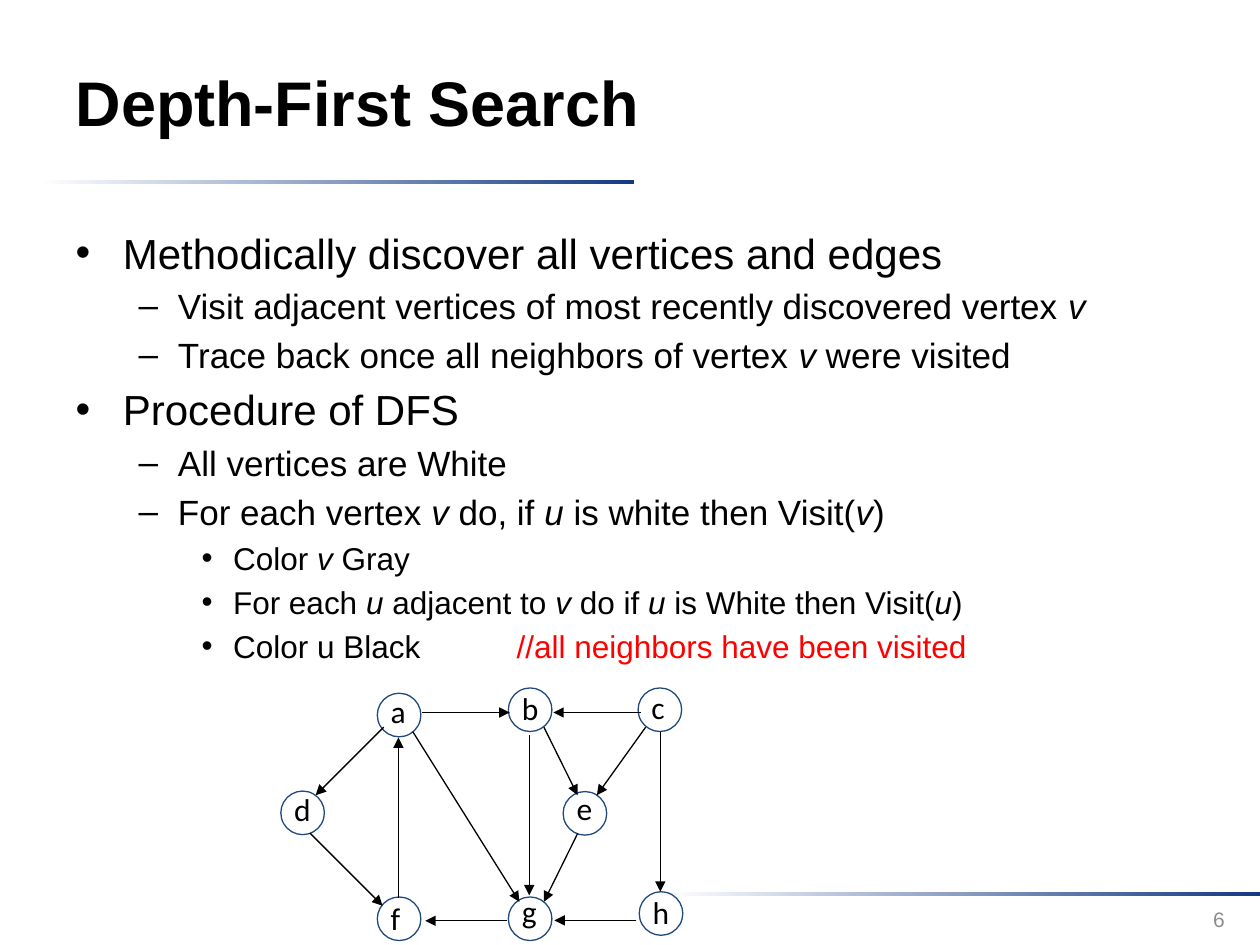
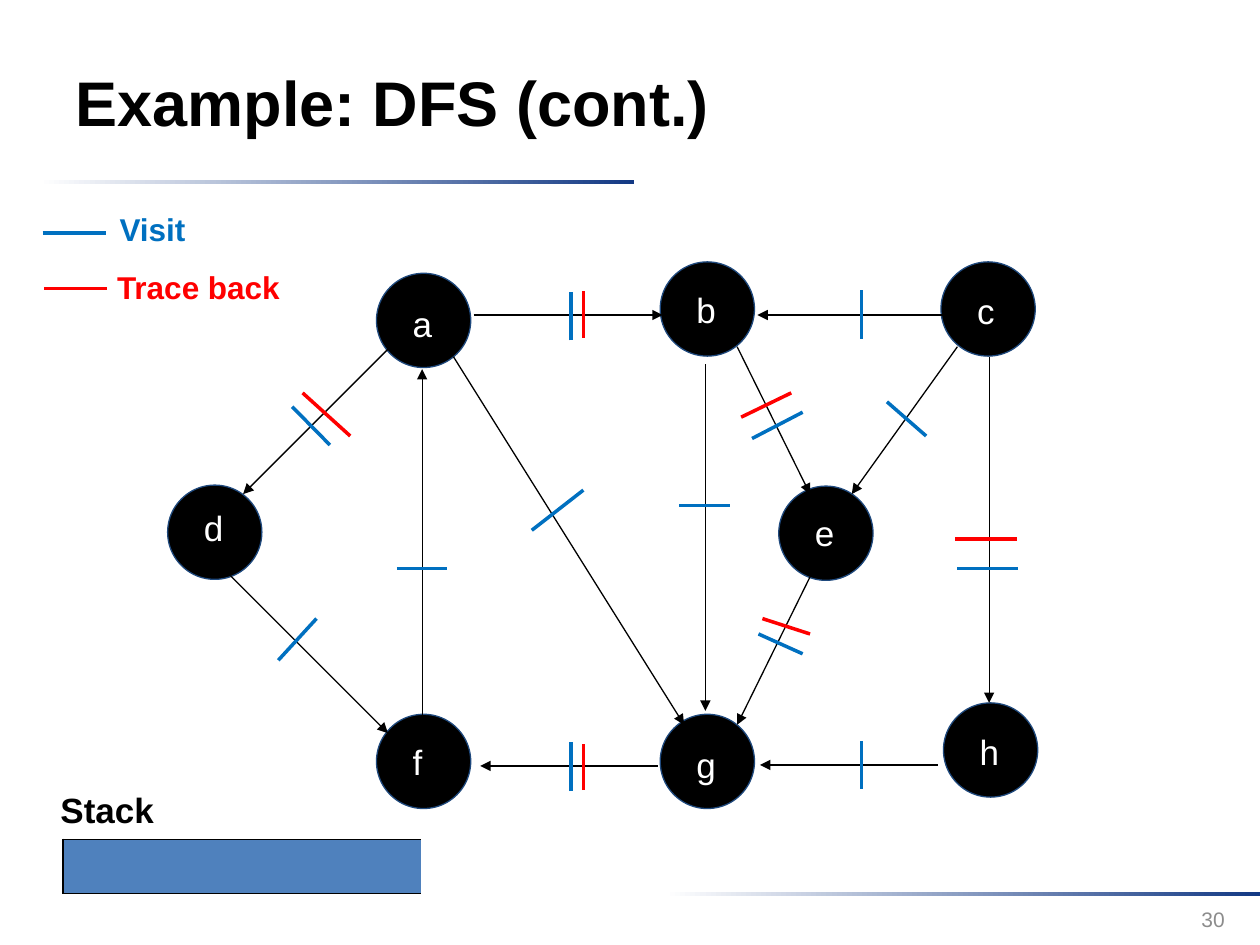
"""Build two slides on depth-first search."""
from lxml.etree import SubElement as Sub
from pptx import Presentation
from pptx.dml.color import RGBColor as Rgb
from pptx.enum.shapes import MSO_CONNECTOR as Link, MSO_SHAPE as Shape
from pptx.enum.text import MSO_ANCHOR as Anchor, MSO_AUTO_SIZE as Auto, PP_ALIGN as Align
from pptx.oxml.ns import qn
from pptx.util import Cm, Pt

HUES = {
    "black": "000000", "white": "FFFFFF", "navy": "133984", "rim": "1F497D",
    "blue": "0070C0", "red": "FF0000", "stack": "4F81BD", "gray": "8C8C8C",
}
SIZE = 1.9
NODES = {
    "a": (7.59, 5.51), "b": (13.31, 5.28), "c": (18.97, 5.28), "d": (3.38, 9.78),
    "e": (15.7, 9.8), "f": (7.59, 14.4), "g": (13.31, 14.4), "h": (19.02, 14.17),
}
EDGES = [
    (8.51, 14.43, 8.51, 7.44), (7.87, 6.99, 4.9, 9.96), (4.65, 11.61, 7.82, 14.78),
    (9.14, 7.19, 13.79, 14.61), (13.26, 15.44, 9.68, 15.44), (18.9, 15.42, 15.32, 15.42),
    (9.55, 6.35, 13.36, 6.35), (19.08, 6.35, 15.27, 6.35), (19.94, 7.19, 19.94, 14.17),
    (14.22, 7.34, 14.22, 14.33), (14.86, 6.99, 16.33, 9.96), (19.3, 6.99, 17.17, 9.96),
    (16.33, 11.63, 14.86, 14.61),
]
SMALL = {
    "scale": 0.462, "left": 4.1, "top": 11.43, "fill": "white", "ink": "black",
    "font": "Calibri", "pt": 18, "box": (0.48, 1.02), "dx": 0.04,
    "dy": dict(a=-0.15, b=-0.1, c=-0.13, d=-0.15, e=-0.18, f=-0.08, g=-0.23, h=-0.1),
}
LARGE = {
    "scale": 1, "left": 0, "top": 0, "fill": "black", "ink": "white",
    "font": "Arial", "pt": 20, "box": (1.07, 1.12), "dx": 0.48,
    "dy": dict(a=0.46, b=0.41, c=0.43, d=0.3, e=0.38, f=0.41, g=0.46, h=0.43),
}
POINTS = [
    (0, "Methodically discover all vertices and edges"),
    (1, "Visit adjacent vertices of most recently discovered vertex *v*"),
    (1, "Trace back once all neighbors of vertex *v* were visited"),
    (0, "Procedure of DFS"),
    (1, "All vertices are White"),
    (1, "For each vertex *v* do, if *u* is white then Visit(*v*)"),
    (2, "Color *v* Gray"),
    (2, "For each *u *adjacent to *v* do if *u *is White then Visit(*u*)"),
    (2, "Color u Black\t\t*//all neighbors have been visited*"),
]
POINT_PT = (24, 20, 18)
VISITS = [
    (0.86, 4.7, 2.13, 4.7), (11.51, 6.86, 11.51, 5.89), (15.16, 8.84, 16.18, 8.31),
    (15.29, 12.78, 16.18, 13.18), (11.51, 15.95, 11.51, 14.96), (8, 11.46, 9.02, 11.46),
    (13.69, 10.19, 14.71, 10.19), (5.89, 8.2, 6.65, 8.97), (5.61, 13.31, 6.38, 12.47),
    (10.72, 10.69, 11.76, 9.88), (17.37, 6.83, 17.37, 5.84), (18.67, 8.79, 17.88, 8.1),
    (19.3, 11.46, 20.52, 11.46), (17.37, 15.9, 17.37, 14.94),
]
BACKS = [
    (0.89, 5.82, 2.16, 5.82), (11.76, 15.93, 11.76, 14.99), (16.33, 12.78, 15.37, 12.47),
    (15.95, 7.92, 14.94, 8.41), (11.76, 6.81, 11.76, 5.87), (7.06, 8.79, 6.1, 7.92),
    (20.5, 10.87, 19.25, 10.87),
]


def hue(name):
    return Rgb.from_string(HUES[name])


def cms(*vals):
    return [Cm(val) for val in vals]


def style(font, pt, ink="black", bold=False, face="Arial"):
    font.name, font.size, font.bold = face, Pt(pt), bold
    font.color.rgb = hue(ink)


def place(shape, *box):
    shape.left, shape.top, shape.width, shape.height = cms(*box)


def label(slide, text, box, pt, ink="black", bold=False, face="Arial", wrap=False):
    frame = slide.shapes.add_textbox(*cms(*box)).text_frame
    frame.text = text
    frame.word_wrap, frame.auto_size = wrap, Auto.SHAPE_TO_FIT_TEXT
    style(frame.paragraphs[0].runs[0].font, pt, ink, bold, face)
    return frame


def band(slide, left, top):
    bar = slide.shapes.add_shape(Shape.RECTANGLE, *cms(left, top, 11.99, 0.08))
    bar.shadow.inherit = False
    bar.line.fill.background()
    bar.fill.gradient()
    bar.fill.gradient_angle = 0
    for stop, name in zip(bar.fill.gradient_stops, ("white", "navy")):
        stop.color.rgb = hue(name)


def start(deck, layout, title, page):
    slide = deck.slides.add_slide(deck.slide_layouts[layout])
    band(slide, 0.79, 3.63)
    band(slide, 13.41, 17.98)
    head = slide.shapes.title
    place(head, 1.27, 0.46, 19.63, 3.18)
    head.text_frame.text = title
    head.text_frame.vertical_anchor = Anchor.MIDDLE
    para = head.text_frame.paragraphs[0]
    para.alignment = Align.LEFT
    style(para.runs[0].font, 36, bold=True)
    foot = label(slide, page, (19.02, 18.01, 5.92, 1.02), 12, "gray", wrap=True)
    foot.auto_size, foot.vertical_anchor = Auto.NONE, Anchor.MIDDLE
    foot.paragraphs[0].alignment = Align.RIGHT
    return slide


def bullets(slide, points):
    body = slide.placeholders[1]
    place(body, 1.27, 4.45, 22.86, 12.57)
    frame = body.text_frame
    for num, (level, text) in enumerate(points):
        para = frame.add_paragraph() if num else frame.paragraphs[0]
        para.level = level
        for part, piece in enumerate(text.split("*")):
            if not piece:
                continue
            run = para.add_run()
            run.text = piece
            note = piece.startswith("//")
            style(run.font, POINT_PT[level], "red" if note else "black")
            run.font.italic = part % 2 == 1 and not note
    frame.paragraphs[0].space_before = Pt(0)


def line(slide, ends, ink="black", pt=0.75, arrow=False):
    link = slide.shapes.add_connector(Link.STRAIGHT, *cms(*ends))
    link.line.color.rgb, link.line.width = hue(ink), Pt(pt)
    if arrow:
        Sub(link.line._get_or_add_ln(), qn("a:tailEnd"), type="triangle")
    Sub(link._element.spPr, qn("a:effectLst"))


def node(slide, name, left, top, look):
    size = SIZE * look["scale"]
    ring = slide.shapes.add_shape(Shape.OVAL, *cms(left, top, size, size))
    ring.shadow.inherit = False
    ring.fill.solid()
    ring.fill.fore_color.rgb = hue(look["fill"])
    ring.line.color.rgb, ring.line.width = hue("rim"), Pt(0.75)
    box = (left + look["dx"], top + look["dy"][name], *look["box"])
    label(slide, name, box, look["pt"], look["ink"], face=look["font"], wrap=True)


def graph(slide, look):
    def fit(x, y):
        return look["left"] + x * look["scale"], look["top"] + y * look["scale"]

    for name, spot in NODES.items():
        node(slide, name, *fit(*spot), look)
    for edge in EDGES:
        line(slide, fit(*edge[:2]) + fit(*edge[2:]), arrow=True)


def stack(slide):
    label(slide, "Stack", (0.97, 15.77, 2.41, 1.12), 20, bold=True)
    grid = slide.shapes.add_table(1, 1, *cms(1.27, 16.92, 7.24, 1.09)).table
    cell = grid.cell(0, 0)
    props = cell._tc.get_or_add_tcPr()
    for side, name in zip("LRTB", ("black", "white", "black", "black")):
        edge = Sub(props, qn(f"a:ln{side}"), w=str(Pt(1)))
        Sub(Sub(edge, qn("a:solidFill")), qn("a:srgbClr"), val=HUES[name])
    cell.fill.solid()
    cell.fill.fore_color.rgb = hue("stack")


def main():
    deck = Presentation()
    deck.slide_width, deck.slide_height = cms(25.4, 19.05)

    slide = start(deck, 1, "Depth-First Search", "6")
    bullets(slide, POINTS)
    graph(slide, SMALL)

    slide = start(deck, 5, "Example: DFS (cont.)", "30")
    graph(slide, LARGE)
    stack(slide)
    label(slide, "Visit", (2.16, 4.11, 1.85, 1.02), 18, "blue", True)
    label(slide, "Trace back", (2.11, 5.28, 3.86, 1.02), 18, "red", True)
    for ink, ticks in (("blue", VISITS), ("red", BACKS)):
        for tick in ticks:
            line(slide, tick, ink, 2)

    deck.save("out.pptx")


if __name__ == "__main__":
    main()
